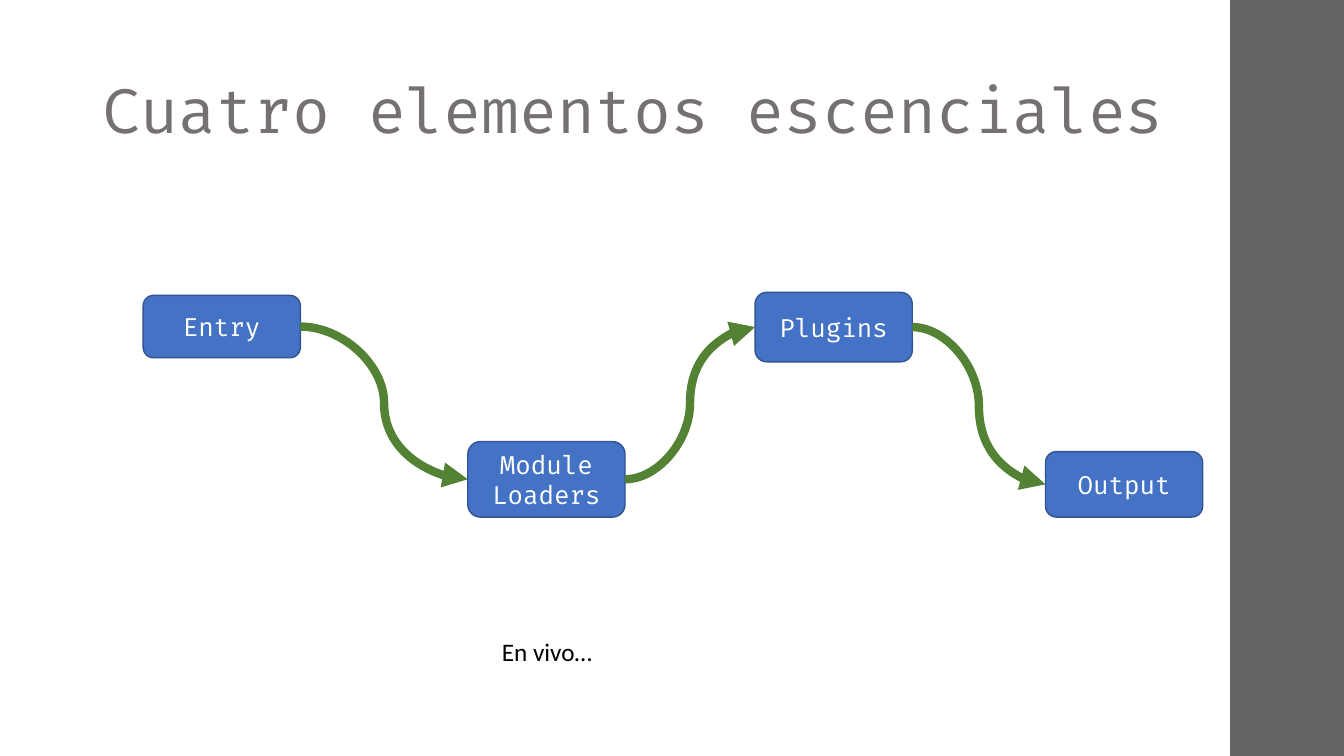
from dataclasses import dataclass
from itertools import pairwise

from lxml import etree
from pptx import Presentation
from pptx.dml.color import RGBColor
from pptx.enum.shapes import MSO_CONNECTOR, MSO_SHAPE
from pptx.enum.text import MSO_ANCHOR, MSO_AUTO_SIZE, PP_ALIGN
from pptx.oxml.ns import qn
from pptx.util import Inches, Pt

CURVE = MSO_CONNECTOR.CURVE
ROUND, RECT = MSO_SHAPE.ROUNDED_RECTANGLE, MSO_SHAPE.RECTANGLE
MIDDLE, TOP = MSO_ANCHOR.MIDDLE, MSO_ANCHOR.TOP
LEFT, CENTER = PP_ALIGN.LEFT, PP_ALIGN.CENTER
NO_FIT, FIT = MSO_AUTO_SIZE.NONE, MSO_AUTO_SIZE.SHAPE_TO_FIT_TEXT
RIGHT_SIDE, LEFT_SIDE = 3, 1


@dataclass(frozen=True)
class Theme:
    """Colours, fonts and type sizes of the slide."""
    title: str = "767171"
    node: str = "4472C4"
    edge: str = "325491"
    label: str = "FFFFFF"
    link: str = "548235"
    band: str = "646464"
    note: str = "000000"
    code: str = "Fira Code"
    plain: str = "Calibri"
    big: int = 44
    small: int = 18


@dataclass(frozen=True)
class Box:
    """A rectangle that hands out shares of itself in percent."""
    left: int
    top: int
    width: int
    height: int

    def share(self, x, y, w, h):
        """Return the box at the given percentages of this one."""
        return Box(int(self.left + self.width * x / 100),
                   int(self.top + self.height * y / 100),
                   int(self.width * w / 100), int(self.height * h / 100))

    def place(self):
        """Return left, top, width and height."""
        return self.left, self.top, self.width, self.height


THEME = Theme()
STEPS = [
    ("Entry", 0, 1.35, 27.8),
    ("Module Loaders", 30.64, 66.37, 33.63),
    ("Plugins", 57.75, 0, 30.94),
    ("Output", 85.16, 70.85, 29.15),
]
STEP_WIDTH = 14.84


def color(code):
    """Turn a hex code into a colour."""
    return RGBColor.from_string(code)


def write(shape, text, font, size, ink, align=LEFT, anchor=MIDDLE):
    """Put one formatted paragraph into a shape."""
    frame = shape.text_frame
    frame.text = text
    frame.word_wrap = True
    frame.vertical_anchor = anchor
    line = frame.paragraphs[0]
    line.alignment = align
    style = line.runs[0].font
    style.name, style.size = font, Pt(size)
    style.color.rgb = color(ink)
    return frame


def block(slide, kind, box, fill):
    """Draw a filled shape without outline or shadow."""
    shape = slide.shapes.add_shape(kind, *box.place())
    shape.shadow.inherit = False
    shape.fill.solid()
    shape.fill.fore_color.rgb = color(fill)
    shape.line.fill.background()
    return shape


def link(slide, start, end):
    """Join two steps with a curved arrow."""
    arrow = slide.shapes.add_connector(CURVE, 0, 0, 0, 0)
    arrow.begin_connect(start, RIGHT_SIDE)
    arrow.end_connect(end, LEFT_SIDE)
    arrow.line.width = Pt(6)
    arrow.line.color.rgb = color(THEME.link)
    props = arrow._element.spPr
    etree.SubElement(props.find(qn("a:ln")), qn("a:tailEnd"), type="triangle")
    etree.SubElement(props, qn("a:effectLst"))


def heading(slide, box):
    """Place the slide title."""
    title = slide.shapes.title
    title.left, title.top, title.width, title.height = box.place()
    frame = write(title, "Cuatro elementos escenciales",
                  THEME.code, THEME.big, THEME.title)
    frame.auto_size = NO_FIT
    frame.paragraphs[0].line_spacing = 0.9


def flow(slide, box):
    """Draw the steps and the arrows between them."""
    nodes = []
    for text, x, y, height in STEPS:
        node = block(slide, ROUND, box.share(x, y, STEP_WIDTH, height), THEME.node)
        node.line.color.rgb = color(THEME.edge)
        node.line.width = Pt(1)
        write(node, text, THEME.code, THEME.small, THEME.label, CENTER)
        nodes.append(node)
    for start, end in pairwise(nodes):
        link(slide, start, end)


def remark(slide, box):
    """Place the note below the flow."""
    note = slide.shapes.add_textbox(*box.place())
    frame = write(note, "En vivo…", THEME.plain, THEME.small, THEME.note,
                  anchor=TOP)
    frame.word_wrap = False
    frame.auto_size = FIT


def main():
    """Build and save the slide."""
    deck = Presentation()
    deck.slide_width, deck.slide_height = Inches(13.33), Inches(7.5)
    slide = deck.slides.add_slide(deck.slide_layouts[5])
    page = Box(0, 0, deck.slide_width, deck.slide_height)
    heading(slide, page.share(6.9, 5.33, 86.27, 19.33))
    flow(slide, page.share(10.65, 38.67, 78.84, 29.73))
    block(slide, RECT, page.share(91.52, 0, 8.48, 100), THEME.band)
    remark(slide, page.share(36.61, 83.47, 8.4, 5.33))
    deck.save("out.pptx")


if __name__ == "__main__":
    main()
